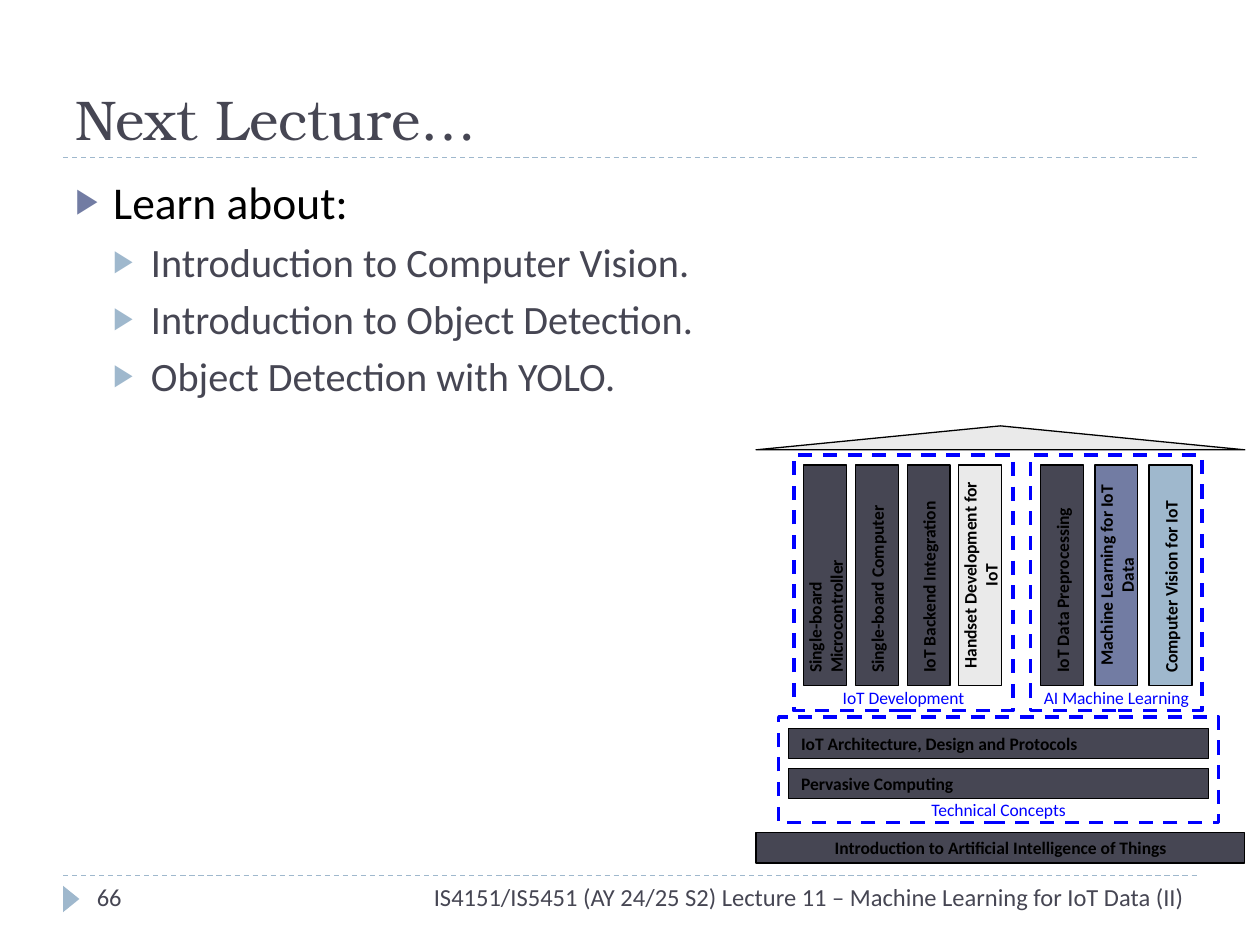
"""Build the closing slide that previews the next lecture beside the course house diagram."""
from lxml import etree
from pptx import Presentation
from pptx.dml.color import RGBColor
from pptx.enum import dml, shapes, text
from pptx.oxml import ns
from pptx.util import Inches, Pt

INK, MIST, VIOLET, PALE = "464653", "9FB8CD", "727CA3", "EAEAEA"
BLACK, BLUE = "000000", "0000FF"
LEFT, CENTER, RIGHT = text.PP_ALIGN.LEFT, text.PP_ALIGN.CENTER, text.PP_ALIGN.RIGHT
TOP, MIDDLE, BOTTOM = text.MSO_ANCHOR.TOP, text.MSO_ANCHOR.MIDDLE, text.MSO_ANCHOR.BOTTOM
RECT, TRIANGLE = shapes.MSO_SHAPE.RECTANGLE, shapes.MSO_SHAPE.ISOSCELES_TRIANGLE

TITLE_FORMAT = {"name": "TeX Gyre Bonum", "size": Pt(32)}
FOOTER_FORMAT = {"name": "Calibri", "size": Pt(14)}
LABEL_FORMAT = {"name": "Calibri", "size": Pt(10)}
BLOCK_FORMAT = {**LABEL_FORMAT, "bold": True}

TEXTS = [
    ("Next Lecture…", (0.5, 0.17, 9, 1.08), TITLE_FORMAT, LEFT, BOTTOM),
    ("IS4151/IS5451 (AY 24/25 S2) Lecture 11 – Machine Learning for IoT Data (II)",
     (1.33, 6.95, 8.17, 0.4), FOOTER_FORMAT, RIGHT, TOP),
    ("66", (0.67, 6.95, 2.17, 0.4), FOOTER_FORMAT, LEFT, TOP),
]
TOPICS = [
    (0, "Learn about:"),
    (1, "Introduction to Computer Vision."),
    (1, "Introduction to Object Detection."),
    (1, "Object Detection with YOLO."),
]
LEVELS = [
    {"size": 26, "color": BLACK, "bullet": VIOLET, "before": 6},
    {"size": 23, "color": INK, "bullet": MIST, "before": 5},
]
RULES = [1.25, 6.95]
BARS = ["IoT Architecture, Design and Protocols", "Pervasive Computing"]
FRAMES = [
    ("IoT Development", (6.3, 3.61, 1.74, 2.03)),
    ("AI Machine Learning", (8.18, 3.61, 1.36, 2.03)),
    ("Technical Concepts", (6.18, 5.69, 3.49, 0.84)),
]
PILLAR_ROWS = [
    (6.38, 0.41, [
        ("Single-board Microcontroller", INK, LEFT),
        ("Single-board Computer", INK, LEFT),
        ("IoT Backend Integration", INK, LEFT),
        ("Handset Development for IoT", PALE, CENTER),
    ]),
    (8.26, 0.43, [
        ("IoT Data Preprocessing", INK, LEFT),
        ("Machine Learning for IoT Data", VIOLET, CENTER),
        ("Computer Vision for IoT", MIST, LEFT),
    ]),
]


def rgb(color):
    return RGBColor.from_string(color)


def apply(target, values):
    for name, value in values.items():
        setattr(target, name, value)


def write(box, wording, font, color, align=CENTER, anchor=MIDDLE, **frame):
    apply(box.text_frame, {"word_wrap": True, "vertical_anchor": anchor, **frame})
    para = box.text_frame.paragraphs[0]
    para.alignment = align
    span = para.add_run()
    span.text = wording
    apply(span.font, font)
    span.font.color.rgb = rgb(color)


def add_block(page, place, fill=None, line=BLACK, width=0.75, kind=RECT):
    block = page.shapes.add_shape(kind, *map(Inches, place))
    block.shadow.inherit = False
    if fill:
        block.fill.solid()
        block.fill.fore_color.rgb = rgb(fill)
    else:
        block.fill.background()
    if line:
        block.line.color.rgb = rgb(line)
        block.line.width = Pt(width)
    else:
        block.line.fill.background()
    return block


def add_rule(page, y):
    rule = page.shapes.add_connector(
        shapes.MSO_CONNECTOR.STRAIGHT, Inches(0.5), Inches(y), Inches(9.5), Inches(y))
    rule.line.color.rgb = rgb(MIST)
    apply(rule.line, {"width": Pt(0.75), "dash_style": dml.MSO_LINE.DASH})
    etree.SubElement(rule._element.spPr, ns.qn("a:effectLst"))


def add_bullet(para, level, color):
    props = para._p.get_or_add_pPr()
    props.set("marL", str(Inches(0.3 * (level + 1))))
    props.set("indent", str(Inches(-0.3)))
    tint = etree.SubElement(props, ns.qn("a:buClr"))
    etree.SubElement(tint, ns.qn("a:srgbClr"), val=color)
    etree.SubElement(props, ns.qn("a:buSzPct"), val="76000")
    etree.SubElement(props, ns.qn("a:buFont"), typeface="Calibri")
    etree.SubElement(props, ns.qn("a:buChar"), char="▶")


def add_topics(page):
    box = page.shapes.add_textbox(*map(Inches, (0.5, 1.33, 9, 5.62)))
    box.text_frame.word_wrap = True
    for index, (level, wording) in enumerate(TOPICS):
        style = LEVELS[level]
        para = box.text_frame.add_paragraph() if index else box.text_frame.paragraphs[0]
        para.level = level
        para.space_before = Pt(style["before"] if index else 0)
        add_bullet(para, level, style["bullet"])
        span = para.add_run()
        span.text = wording
        apply(span.font, {"name": "Calibri", "size": Pt(style["size"])})
        span.font.color.rgb = rgb(style["color"])


def add_house(page):
    add_block(page, (6, 3.38, 3.88, 0.19), PALE, kind=TRIANGLE)
    base = add_block(page, (6, 6.61, 3.88, 0.24), INK)
    write(base, "Introduction to Artificial Intelligence of Things", BLOCK_FORMAT, BLACK)
    for wording, place in FRAMES:
        frame = add_block(page, place, line=BLUE, width=2)
        frame.line.dash_style = dml.MSO_LINE.DASH
        write(frame, wording, LABEL_FORMAT, BLUE, anchor=BOTTOM, margin_bottom=Inches(0.02))
    for index, wording in enumerate(BARS):
        bar = add_block(page, (6.26, 5.78 + 0.32 * index, 3.33, 0.24), INK)
        write(bar, wording, BLOCK_FORMAT, BLACK, LEFT)
    margins = dict.fromkeys(
        ("margin_left", "margin_right", "margin_top", "margin_bottom"), Inches(0.1))
    for left, pitch, pillars in PILLAR_ROWS:
        for index, (wording, fill, align) in enumerate(pillars):
            pillar = add_block(page, (left + pitch * index, 3.69, 0.34, 1.75), fill)
            write(pillar, wording, BLOCK_FORMAT, BLACK, align, **margins)
            pillar.text_frame._txBody.bodyPr.set("vert", "vert270")


def main():
    deck = Presentation()
    apply(deck, {"slide_width": Inches(10), "slide_height": Inches(7.5)})
    page = deck.slides.add_slide(deck.slide_layouts[6])
    for y in RULES:
        add_rule(page, y)
    marker = add_block(page, (0.46, 7.07, 0.21, 0.13), MIST, line=None, kind=TRIANGLE)
    marker.rotation = 90
    for wording, place, font, align, anchor in TEXTS:
        box = page.shapes.add_textbox(*map(Inches, place))
        write(box, wording, font, INK, align, anchor)
    add_topics(page)
    add_house(page)
    deck.save("out.pptx")


if __name__ == "__main__":
    main()
